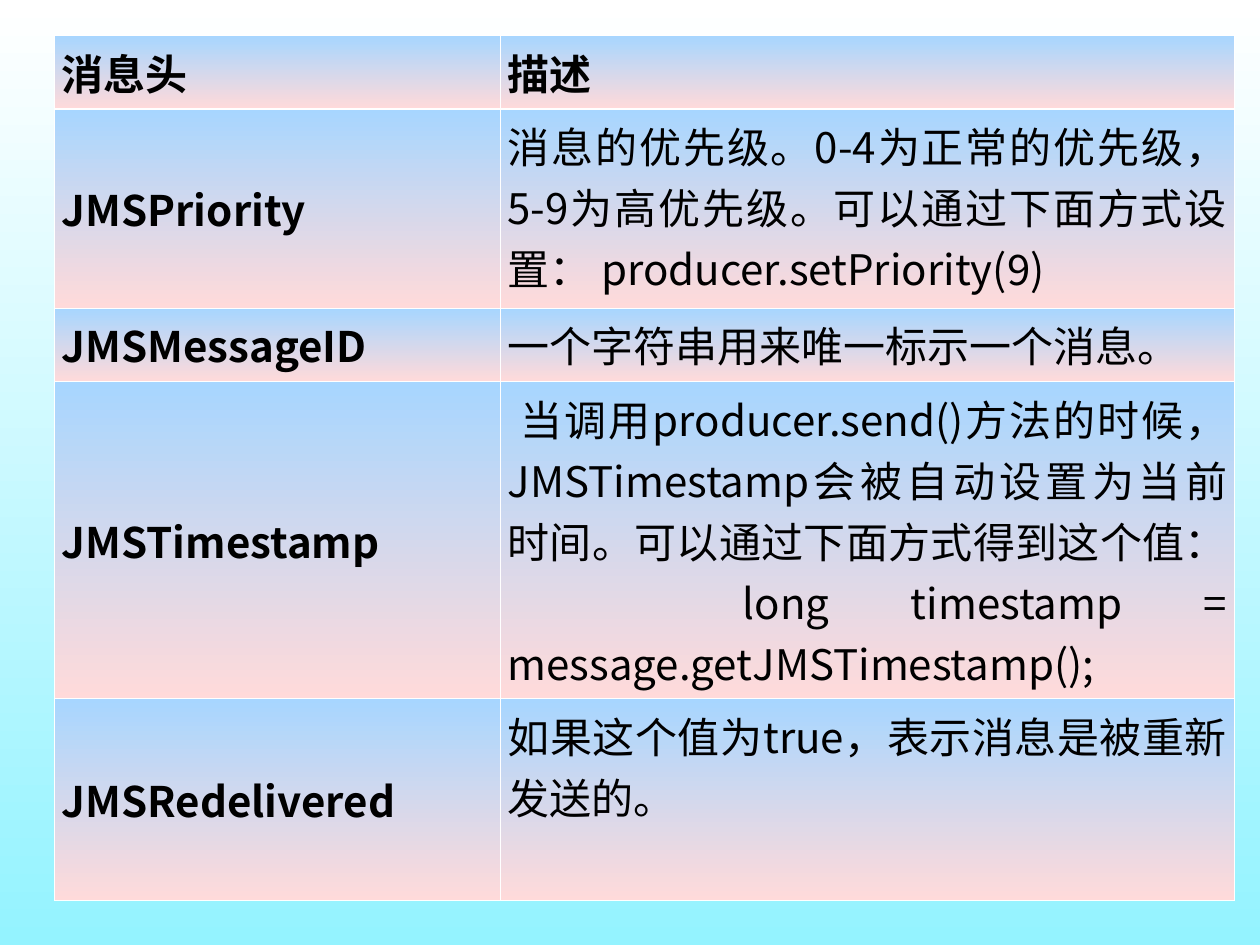
from lxml.etree import SubElement as Sub
from pptx import Presentation
from pptx.dml.color import RGBColor as RGB
from pptx.enum.text import MSO_ANCHOR as Anchor, PP_ALIGN as Align
from pptx.oxml.ns import qn
from pptx.util import Inches, Pt

FONT = "Noto Sans CJK SC"
COLORS = {
    "text": "000000",
    "line": "FFFFFF",
    "page top": "FFFFFF",
    "page end": "94F3FF",
    "cell top": "A7D6FF",
    "cell end": "FFDADA",
}
COLS = [3.54, 5.83]
# Row height, message header, description
ROWS = [
    (0.52, "消息头", "描述"),
    (1.58, "JMSPriority",
     "消息的优先级。0-4为正常的优先级，5-9为高优先级。"
     "可以通过下面方式设置： producer.setPriority(9)"),
    (0.52, "JMSMessageID", "一个字符串用来唯一标示一个消息。"),
    (2.1, "JMSTimestamp",
     " 当调用producer.send()方法的时候，JMSTimestamp会被自动设置为当前时间。"
     "可以通过下面方式得到这个值：   long timestamp = message.getJMSTimestamp();"),
    (1.6, "JMSRedelivered", "如果这个值为true，表示消息是被重新发送的。"),
]


def shade(fill, part):
    """Fill from top to bottom with the two colours of a part."""
    fill.gradient()
    fill.gradient_angle = 270
    for stop, end in zip(fill.gradient_stops, ("top", "end")):
        stop.color.rgb = RGB.from_string(COLORS[f"{part} {end}"])


def edge(cell, side, width):
    """Draw one border of a cell."""
    props = cell._tc.get_or_add_tcPr()
    line = Sub(props, qn(f"a:ln{side}"), w=str(Pt(width)))
    solid = Sub(line, qn("a:solidFill"))
    Sub(solid, qn("a:srgbClr"), val=COLORS["line"])


def write(cell, text, bold):
    """Put justified text in a cell."""
    cell.margin_left = cell.margin_right = Inches(0.06)
    cell.margin_top = cell.margin_bottom = Inches(0.05)
    cell.text = text
    para = cell.text_frame.paragraphs[0]
    para.alignment = Align.JUSTIFY
    font = para.font
    font.name, font.size, font.bold = FONT, Pt(24), bold
    font.color.rgb = RGB.from_string(COLORS["text"])
    Sub(font._element, qn("a:ea"), typeface=FONT)


def add_grid(slide):
    """Add the table of message headers."""
    heights = [row[0] for row in ROWS]
    frame = slide.shapes.add_table(
        len(ROWS), len(COLS), Inches(0.43), Inches(0.28),
        Inches(sum(COLS)), Inches(sum(heights)))
    table = frame.table
    table.horz_banding = False
    for col, width in zip(table.columns, COLS):
        col.width = Inches(width)
    for r, (height, *texts) in enumerate(ROWS):
        table.rows[r].height = Inches(height)
        for c, text in enumerate(texts):
            cell = table.cell(r, c)
            write(cell, text, bold=r == 0 or c == 0)
            if r > 0 and c == 0:
                cell.vertical_anchor = Anchor.MIDDLE
            # A thicker rule parts the heading from the body
            thick = {(0, "B"), (1, "T")}
            for side in "LRTB":
                edge(cell, side, 1.47 if (r, side) in thick else 0.45)
            shade(cell.fill, "cell")


def main():
    deck = Presentation()
    deck.slide_width, deck.slide_height = Inches(10), Inches(7.5)
    slide = deck.slides.add_slide(deck.slide_layouts[6])
    shade(slide.background.fill, "page")
    add_grid(slide)
    deck.save("out.pptx")


if __name__ == "__main__":
    main()
